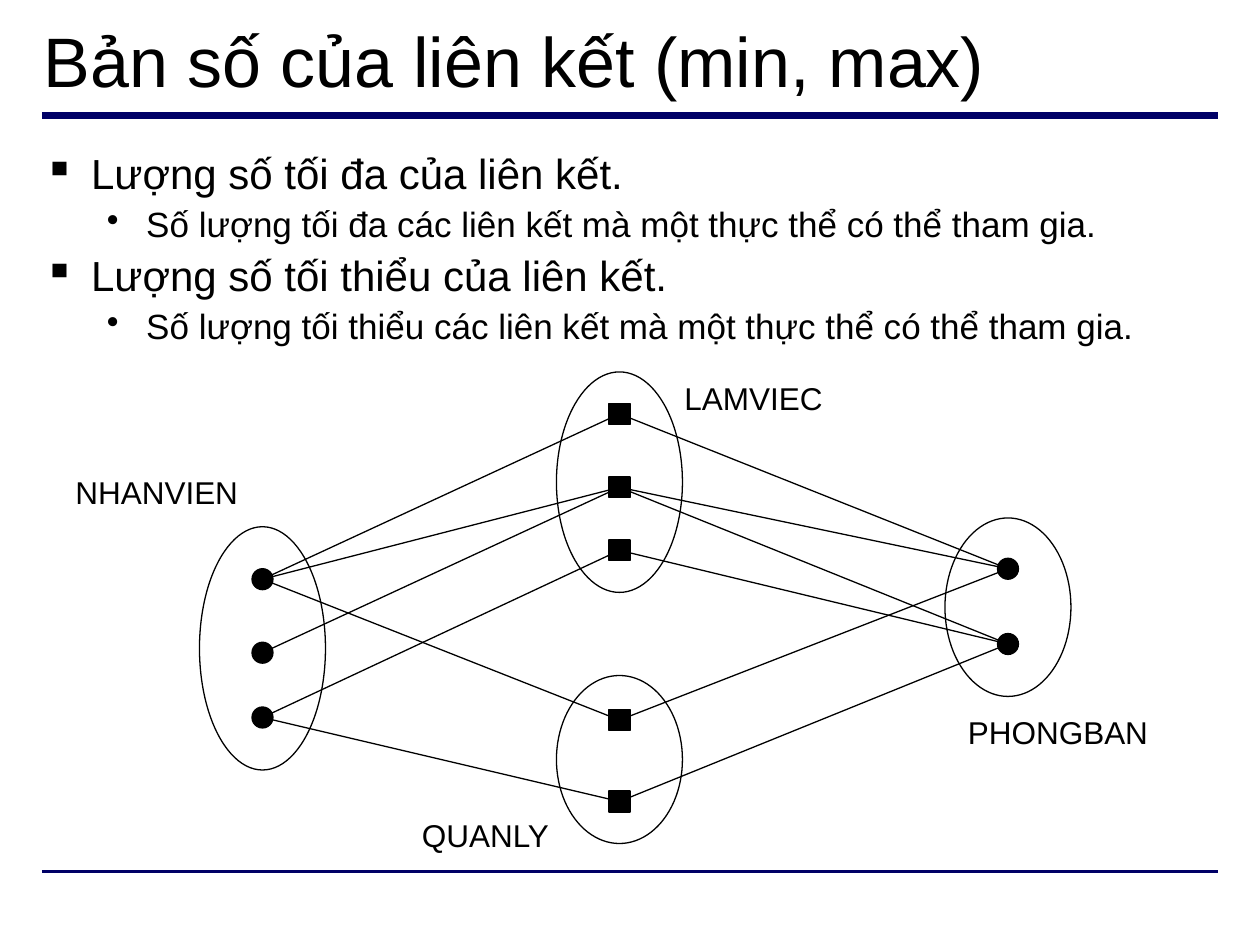
from lxml import etree
from pptx import Presentation
from pptx.dml.color import RGBColor
from pptx.enum import shapes, text
from pptx.oxml import ns
from pptx.util import Pt

BLACK = RGBColor(0x00, 0x00, 0x00)
NAVY = RGBColor(0x00, 0x00, 0x66)
FONT = "Arial"
DOT_SIZE = 12
SET_WIDTH = 72

presentation = Presentation()
presentation.slide_width, presentation.slide_height = Pt(720), Pt(540)
slide = presentation.slides.add_slide(presentation.slide_layouts[6])


def add_line(start, end, color, width):
    line = slide.shapes.add_connector(
        shapes.MSO_CONNECTOR.STRAIGHT, *(Pt(value) for value in (*start, *end)))
    line.line.color.rgb = color
    line.line.width = Pt(width)
    etree.SubElement(line._element.spPr, ns.qn("a:effectLst"))


def add_text(parent, left, top, width, height, content, size):
    box = parent.add_textbox(Pt(left), Pt(top), Pt(width), Pt(height))
    frame = box.text_frame
    frame.word_wrap = True
    frame.text = content
    for paragraph in frame.paragraphs:
        paragraph.font.name = FONT
        paragraph.font.size = Pt(size)
        paragraph.font.color.rgb = BLACK
    return frame


# Rules under the title and above the footer
for y, width in ((66, 4.5), (498, 2.25)):
    add_line((24, y), (696, y), NAVY, width)

# Title
title = add_text(slide.shapes, 18, 6.5, 684, 55.5, "Bản số của liên kết (min, max)", 40)
title.vertical_anchor = text.MSO_ANCHOR.MIDDLE

# Bulleted definitions: bullet, left margin, hanging indent, size, space before
LEVELS = (("▪", 27, 27, 24, 6), ("•", 58.5, 22.5, 20, 5))
DEFINITIONS = (
    (0, "Lượng số tối đa của liên kết."),
    (1, "Số lượng tối đa các liên kết mà một thực thể có thể tham gia."),
    (0, "Lượng số tối thiểu của liên kết."),
    (1, "Số lượng tối thiểu các liên kết mà một thực thể có thể tham gia."),
)
body = add_text(slide.shapes, 18, 84, 684, 399,
                "\n".join(content for _, content in DEFINITIONS), 24)
for index, (paragraph, (level, _)) in enumerate(zip(body.paragraphs, DEFINITIONS)):
    bullet, margin, hanging, size, space = LEVELS[level]
    paragraph.level = level
    paragraph.line_spacing = 0.9
    paragraph.space_before = Pt(space if index else 0)
    paragraph.font.size = Pt(size)
    properties = paragraph._p.get_or_add_pPr()
    properties.set("marL", str(Pt(margin)))
    properties.set("indent", str(-Pt(hanging)))
    bullet_element = etree.Element(ns.qn("a:buChar"), char=bullet)
    properties.find(ns.qn("a:defRPr")).addprevious(bullet_element)

# Sets: centre x, oval top and height, member shape, member y values,
# label left, top and width
OVAL, SQUARE = shapes.MSO_SHAPE.OVAL, shapes.MSO_SHAPE.RECTANGLE
SETS = {
    "NHANVIEN": (150, 301, 139, OVAL, (331, 373, 410), (36, 266.5, 114)),
    "LAMVIEC": (354, 212.5, 126, SQUARE, (236.5, 278.5, 314.5), (384, 213, 102)),
    "QUANLY": (354, 386, 96, SQUARE, (411.5, 458), (234, 463, 90)),
    "PHONGBAN": (576, 296, 102, OVAL, (325, 368), (546, 404, 119.5)),
}

# Links between members: set and member number at either end
LINKS = (
    ("NHANVIEN", 0, "LAMVIEC", 0),
    ("NHANVIEN", 0, "LAMVIEC", 1),
    ("NHANVIEN", 1, "LAMVIEC", 1),
    ("NHANVIEN", 2, "LAMVIEC", 2),
    ("NHANVIEN", 0, "QUANLY", 0),
    ("NHANVIEN", 2, "QUANLY", 1),
    ("LAMVIEC", 0, "PHONGBAN", 0),
    ("LAMVIEC", 1, "PHONGBAN", 0),
    ("LAMVIEC", 1, "PHONGBAN", 1),
    ("LAMVIEC", 2, "PHONGBAN", 1),
    ("QUANLY", 0, "PHONGBAN", 0),
    ("QUANLY", 1, "PHONGBAN", 1),
)
for *source, target, target_member in LINKS:
    start, end = ((SETS[name][0], SETS[name][4][member])
                  for name, member in (source, (target, target_member)))
    add_line(start, end, BLACK, 0.75)

# Each set is a group of outline, members and label
for name, (x, top, height, kind, members, label) in SETS.items():
    group = slide.shapes.add_group_shape()
    outlines = [(OVAL, x - SET_WIDTH / 2, top, SET_WIDTH, height, False)]
    outlines += [(kind, x - DOT_SIZE / 2, y - DOT_SIZE / 2, DOT_SIZE, DOT_SIZE, True)
                 for y in members]
    for preset, *bounds, filled in outlines:
        shape = group.shapes.add_shape(preset, *(Pt(value) for value in bounds))
        shape.shadow.inherit = False
        shape.line.color.rgb = BLACK
        shape.line.width = Pt(0.75)
        if filled:
            shape.fill.solid()
            shape.fill.fore_color.rgb = BLACK
        else:
            shape.fill.background()
    label_left, label_top, label_width = label
    add_text(group.shapes, label_left, label_top, label_width, 29, name, 18)

presentation.save("out.pptx")
